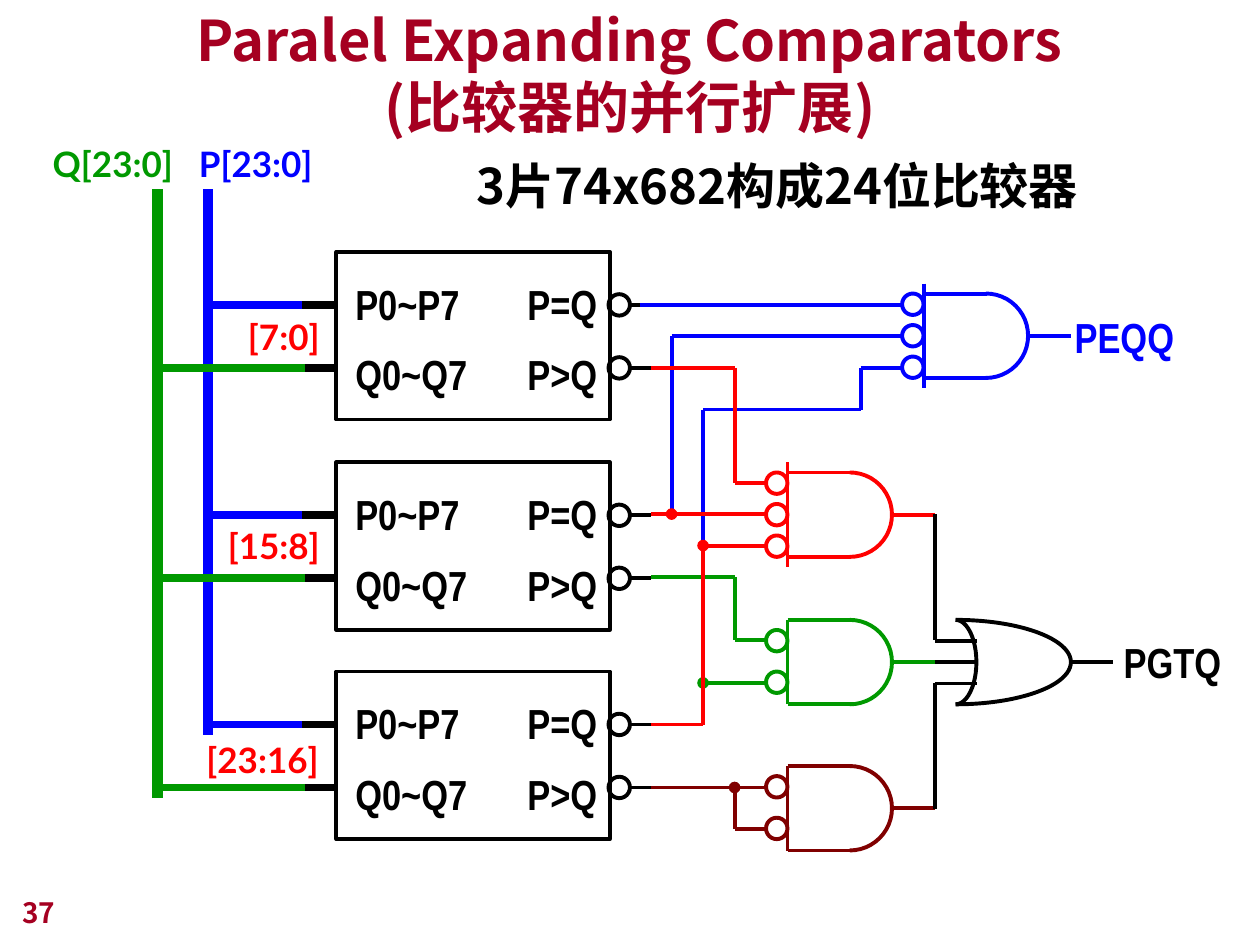
from lxml.etree import SubElement
from pptx import Presentation
from pptx.dml.color import RGBColor
from pptx.enum.shapes import MSO_CONNECTOR as Link, MSO_SHAPE as Preset
from pptx.enum.text import MSO_ANCHOR as Anchor, MSO_AUTO_SIZE as Fit, PP_ALIGN as Align
from pptx.oxml.ns import qn
from pptx.util import Inches, Pt

COLORS = {"black": "000000", "blue": "0000FF", "green": "009900",
          "red": "FF0000", "maroon": "800000", "crimson": "A50021"}
NARROW, LATO, NOTO = "Arial Narrow", "Lato", "Noto Sans CJK JP"
BUBBLE = 0.17
CHIP_WIDTH, CHIP_HEIGHT = 2.17, 1.33
CHIP_TOPS = (2, 3.67, 5.33)
P_OFFSET, Q_OFFSET = 0.42, 0.92  # pin rows below the top of a chip
GATE_HEIGHT = 0.67


def rgb(color):
    return RGBColor.from_string(COLORS[color])


def box(left, top, width, height):
    return tuple(Inches(value) for value in (left, top, width, height))


def write(frame, text, size, face, color, **paragraph_format):
    """Put text in a frame, giving every paragraph the same format."""
    frame.text = text
    for paragraph in frame.paragraphs:
        if "\t" in text:
            tabs = SubElement(paragraph._p.get_or_add_pPr(), qn("a:tabLst"))
            SubElement(tabs, qn("a:tab"), pos=str(Inches(1.92)), algn="r")
        for name, value in paragraph_format.items():
            setattr(paragraph, name, value)
        for run in paragraph.runs:
            formats = {"size": Pt(size), "name": face, "bold": True}
            for name, value in formats.items():
                setattr(run.font, name, value)
            run.font.color.rgb = rgb(color)
            SubElement(run._r.get_or_add_rPr(), qn("a:ea"), typeface=face)


def label(slide, area, text, size, face, color, anchor=Anchor.TOP,
          wrap=False, **paragraph_format):
    frame = slide.shapes.add_textbox(*box(*area)).text_frame
    frame.word_wrap = wrap
    frame.auto_size = Fit.NONE if wrap else Fit.SHAPE_TO_FIT_TEXT
    frame.vertical_anchor = anchor
    write(frame, text, size, face, color, **paragraph_format)


def wire(slide, color, *points, weight=2.25, dot=False):
    """Join the points with straight lines; a dot marks the first point."""
    for index, (start, end) in enumerate(zip(points, points[1:])):
        line = slide.shapes.add_connector(
            Link.STRAIGHT, *(Inches(value) for value in start + end))
        line.line.color.rgb = rgb(color)
        line.line.width = Pt(weight)
        properties = line._element.spPr
        if dot and index == 0:
            SubElement(properties.find(qn("a:ln")), qn("a:headEnd"), type="oval")
        SubElement(properties, qn("a:effectLst"))


def outline(slide, preset, area, color):
    shape = slide.shapes.add_shape(preset, *box(*area))
    shape.shadow.inherit = False
    shape.fill.background()
    shape.line.color.rgb = rgb(color)
    shape.line.width = Pt(2.25)
    return shape


def right_arc(slide, area, color):
    """Draw the right half of an ellipse, from 270 to 90 degrees."""
    arc = outline(slide, Preset.ARC, area, color)
    arc.adjustments[0], arc.adjustments[1] = 162, 54


def chip(slide, left, top):
    body = outline(slide, Preset.RECTANGLE, (left, top, CHIP_WIDTH, CHIP_HEIGHT), "black")
    frame = body.text_frame
    frame.margin_left, frame.margin_right = Inches(0.15), Inches(0.08)
    frame.vertical_anchor = Anchor.TOP
    frame.word_wrap = True
    write(frame, "P0~P7\tP=Q\nQ0~Q7\tP>Q", 24, NARROW, "black",
          alignment=Align.LEFT, line_spacing=1.4)
    right = left + CHIP_WIDTH
    for row in (top + P_OFFSET, top + Q_OFFSET):
        wire(slide, "black", (left - 0.34, row), (left, row), weight=4.5)
        outline(slide, Preset.OVAL, (right - 0.01, row - BUBBLE / 2, BUBBLE, BUBBLE), "black")
        wire(slide, "black", (right + 0.16, row), (right + 0.33, row))


def bus(slide, left, top, bottom, name, name_area, color, offset, reach):
    wire(slide, color, (left, top), (left, bottom), weight=6)
    for chip_top in CHIP_TOPS:
        row = chip_top + offset
        wire(slide, color, (reach, row), (left, row), weight=4.5)
    label(slide, name_area, name, 20, LATO, color)


def and_gate(slide, left, top, color, inputs):
    """Draw an AND gate with inverted inputs and an output lead."""
    overhang = 0.08 if inputs == 3 else 0
    bottom, middle = top + GATE_HEIGHT, top + GATE_HEIGHT / 2
    wire(slide, color, (left, top - overhang), (left, bottom + overhang))
    for edge in (top, bottom):
        wire(slide, color, (left, edge), (left + 0.5, edge))
    right_arc(slide, (left + 0.16, top, GATE_HEIGHT, GATE_HEIGHT), color)
    wire(slide, color, (left + 0.83, middle), (left + 1.17, middle))
    first, step = (0, 0.25) if inputs == 3 else (0.08, 0.33)
    for index in range(inputs):
        outline(slide, Preset.OVAL,
                (left - BUBBLE, top + first + index * step, BUBBLE, BUBBLE), color)


def or_gate(slide, left, top):
    """Draw the OR gate with its three inputs and its output."""
    middle = top + GATE_HEIGHT / 2
    right_arc(slide, (left, top, 0.33, GATE_HEIGHT), "black")
    right_arc(slide, (left - 0.75, top, 1.83, GATE_HEIGHT), "black")
    for row in (middle - BUBBLE, middle, middle + BUBBLE):
        wire(slide, "black", (left, row), (left + 0.33, row))
    wire(slide, "black", (left + 1.08, middle), (left + 1.41, middle))
    label(slide, (left + 1.4, top + 0.08, 1.05, 0.5), "PGTQ", 24, NARROW, "black")


def headings(slide):
    title = slide.shapes.title
    title.left, title.top, title.width, title.height = box(0.75, 0.33, 8.5, 0.83)
    title.text_frame.auto_size = Fit.NONE
    title.text_frame.vertical_anchor = Anchor.BOTTOM
    write(title.text_frame, "Paralel Expanding Comparators\v(比较器的并行扩展)",
          32, NOTO, "crimson", alignment=Align.CENTER)
    label(slide, (2.92, 0.92, 6.5, 0.83), "3片74x682构成24位比较器", 28, NOTO, "black",
          Anchor.BOTTOM, True, alignment=Align.CENTER)
    label(slide, (0.08, 6.92, 2.08, 0.5), "37", 16, NOTO, "crimson", Anchor.BOTTOM, True)


def inputs_and_chips(slide):
    for top in CHIP_TOPS:
        chip(slide, 2.67, top)
    ranges = (("[7:0]", 2.42, 0.83), ("[15:8]", 4.08, 0.99), ("[23:16]", 5.78, 1.16))
    for text, top, width in ranges:
        label(slide, (2.7 - width, top, width, 0.47), text, 20, LATO, "red", line_spacing=1.1)
    bus(slide, 1.65, 1.5, 5.83, "P[23:0]", (1.48, 1.08, 1.11, 0.44), "blue", P_OFFSET, 2.4)
    bus(slide, 1.25, 1.5, 6.33, "Q[23:0]", (0.32, 1.08, 1.16, 0.44), "green", Q_OFFSET, 2.42)


def comparison_logic(slide):
    # Equality: all three P=Q outputs
    label(slide, (8.43, 2.42, 1.05, 0.5), "PEQQ", 24, NARROW, "blue")
    and_gate(slide, 7.33, 2.33, "blue", 3)
    wire(slide, "blue", (5.08, 2.42), (7.17, 2.42))
    wire(slide, "blue", (5.17, 4.08), (5.33, 4.08), (5.33, 2.67), (7.17, 2.67))
    wire(slide, "blue", (5.17, 5.75), (5.58, 5.75), (5.58, 3.25),
         (6.83, 3.25), (6.83, 2.92), (7.17, 2.92))
    # Greater in the high byte
    and_gate(slide, 6.25, 6.08, "maroon", 2)
    wire(slide, "maroon", (5.17, 6.25), (6.08, 6.25))
    wire(slide, "maroon", (5.83, 6.25), (5.83, 6.58), (6.08, 6.58), dot=True)
    # Greater in the middle byte
    and_gate(slide, 6.25, 4.92, "green", 2)
    wire(slide, "green", (5.17, 4.58), (5.83, 4.58), (5.83, 5.08), (6.08, 5.08))
    wire(slide, "green", (5.58, 5.42), (6.08, 5.42), dot=True)
    wire(slide, "green", (5.17, 5.75), (5.58, 5.75), (5.58, 5.42))
    # Greater in the low byte
    and_gate(slide, 6.25, 3.75, "red", 3)
    wire(slide, "red", (5.17, 2.92), (5.83, 2.92), (5.83, 3.83), (6.08, 3.83))
    wire(slide, "red", (5.17, 5.75), (5.58, 5.75), (5.58, 4.33))
    wire(slide, "red", (5.58, 4.33), (6.08, 4.33), dot=True)
    wire(slide, "red", (5.17, 4.08), (5.33, 4.08))
    wire(slide, "red", (5.33, 4.08), (6.08, 4.08), dot=True)
    # Any greater result
    wire(slide, "black", (7.42, 4.08), (7.42, 5.08))
    wire(slide, "black", (7.42, 5.42), (7.42, 6.42))
    or_gate(slide, 7.42, 4.92)


def main():
    deck = Presentation()
    deck.slide_width, deck.slide_height = Inches(10), Inches(7.5)
    slide = deck.slides.add_slide(deck.slide_layouts[5])
    headings(slide)
    inputs_and_chips(slide)
    comparison_logic(slide)
    deck.save("out.pptx")


if __name__ == "__main__":
    main()
